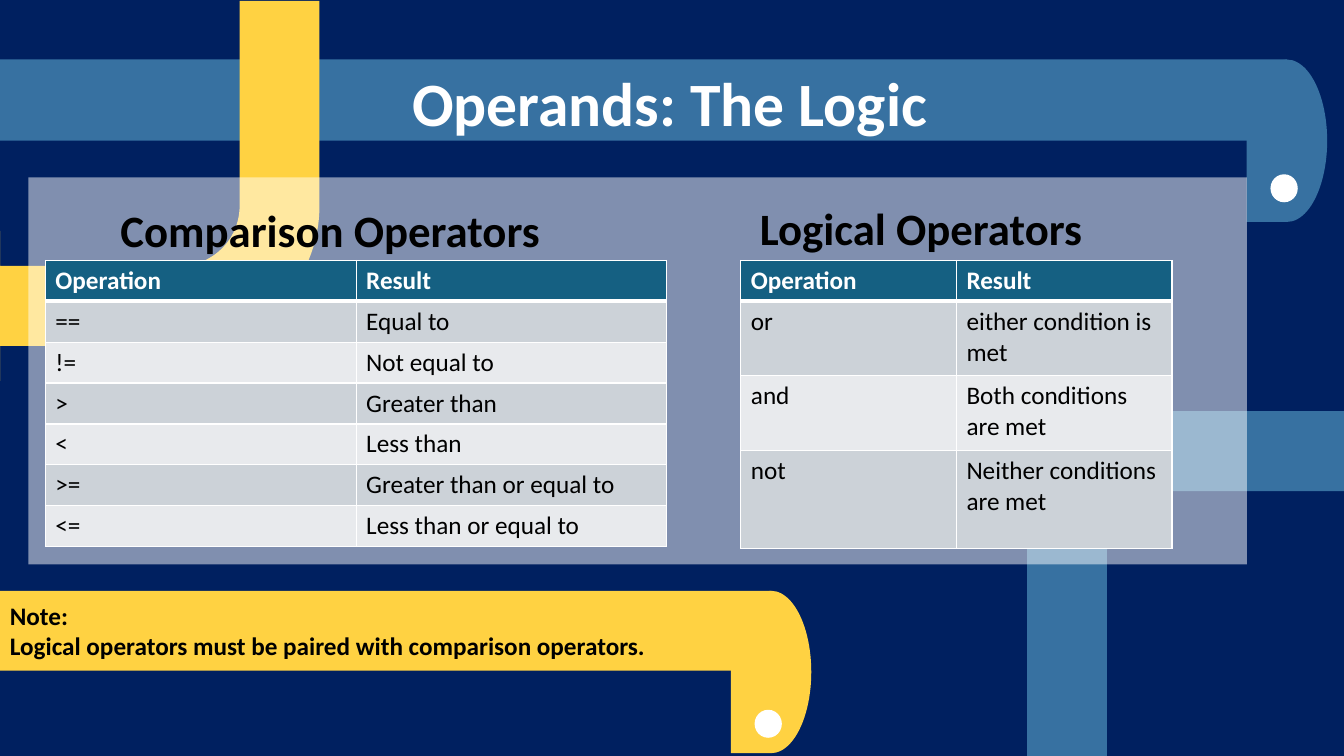
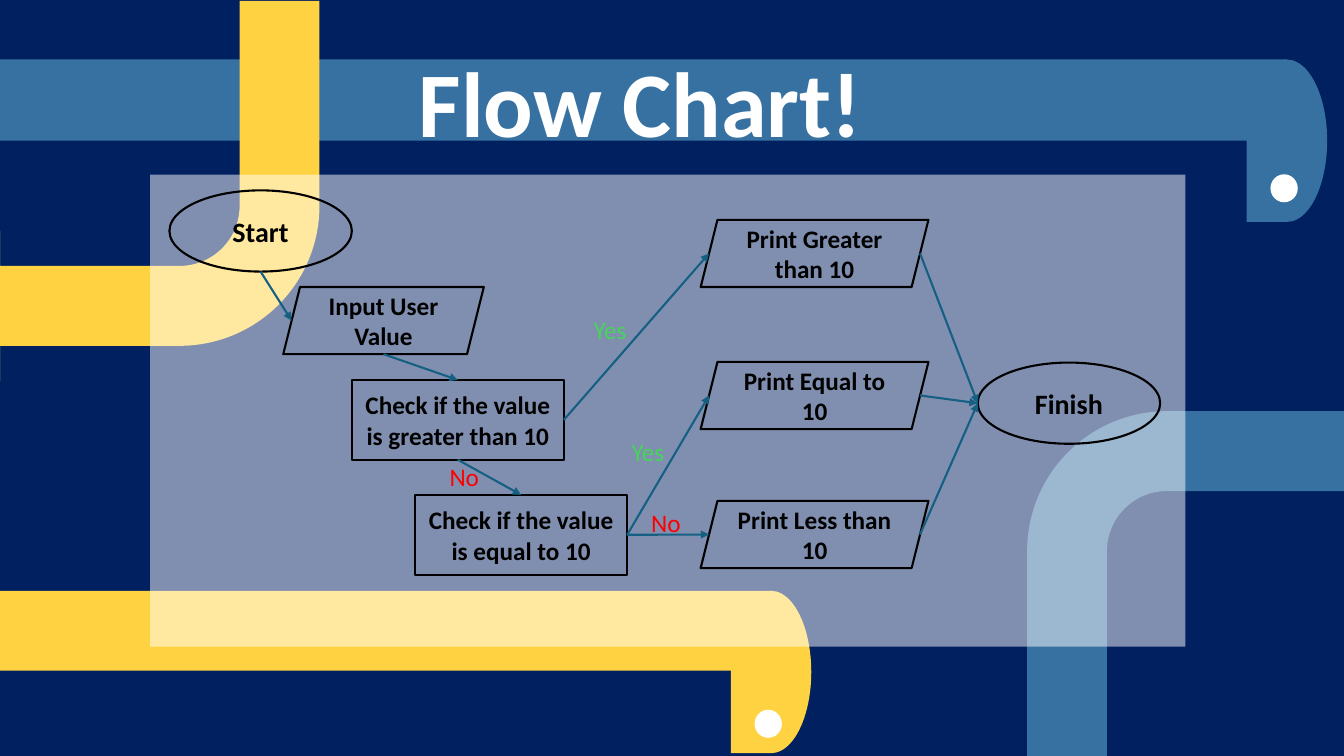
from lxml.etree import SubElement
from pptx import Presentation
from pptx.dml.color import RGBColor
from pptx.enum.shapes import MSO_CONNECTOR, MSO_SHAPE
from pptx.enum.text import MSO_ANCHOR, MSO_AUTO_SIZE, PP_ALIGN
from pptx.oxml.ns import qn
from pptx.util import Pt

NAVY = RGBColor(0x00, 0x20, 0x60)
BLUE = RGBColor(0x37, 0x71, 0xA1)
YELLOW = RGBColor(0xFF, 0xD2, 0x42)
WHITE = RGBColor(0xFF, 0xFF, 0xFF)
BLACK = RGBColor(0x00, 0x00, 0x00)
TEAL = RGBColor(0x15, 0x60, 0x82)
ROW_DARK = RGBColor(0xCC, 0xD2, 0xD8)
ROW_LIGHT = RGBColor(0xE8, 0xEA, 0xED)
GREEN = RGBColor(0x47, 0xD4, 0x5A)
RED = RGBColor(0xFF, 0x00, 0x00)
FONT = "Calibri"
TOP, BOTTOM, LEFT, RIGHT = 0, 2, 1, 3


def write(tf, text, size=18, color=BLACK, bold=False, align=PP_ALIGN.LEFT):
    tf.word_wrap = True
    tf.text = text
    for p in tf.paragraphs:
        p.alignment = align
        for r in p.runs:
            r.font.name = FONT
            r.font.size = Pt(size)
            r.font.bold = bold
            r.font.color.rgb = color


def side_point(sp, side):
    inset = sp.height // 8 if sp.auto_shape_type == MSO_SHAPE.PARALLELOGRAM else 0
    mid_x, mid_y = sp.left + sp.width // 2, sp.top + sp.height // 2
    return {
        TOP: (mid_x, sp.top),
        LEFT: (sp.left + inset, mid_y),
        BOTTOM: (mid_x, sp.top + sp.height),
        RIGHT: (sp.left + sp.width - inset, mid_y),
    }[side]


class Deck:
    def __init__(self):
        self.prs = Presentation()
        self.prs.slide_width, self.prs.slide_height = Pt(960), Pt(540)
        fill = self.prs.slide_master.background.fill
        fill.solid()
        fill.fore_color.rgb = NAVY
        self.s = None

    def slide(self):
        self.s = self.prs.slides.add_slide(self.prs.slide_layouts[5])
        self.scroll(42.5, 890.5, 58, 82, BLUE)
        self.bend(0, 0.7, YELLOW, 180)
        self.bend(733.7, 268.6, BLUE)
        return self.scroll(422, 522, 57, 85, YELLOW)

    def shape(self, kind, x, y, w, h, fill=None, line=None, rotation=0):
        sp = self.s.shapes.add_shape(kind, Pt(x), Pt(y), Pt(w), Pt(h))
        sp.shadow.inherit = False
        sp.rotation = rotation
        if fill is None:
            sp.fill.background()
        else:
            sp.fill.solid()
            sp.fill.fore_color.rgb = fill
        if line is None:
            sp.line.fill.background()
        else:
            sp.line.color.rgb = line
            sp.line.width = Pt(1.5)
        return sp

    def scroll(self, y, curl_x, h, hole_dy, color):
        band = self.shape(MSO_SHAPE.RECTANGLE, 0, y, curl_x + 29, h, color)
        self.shape(MSO_SHAPE.TEAR, curl_x, y, 57.5, 116, color, rotation=180)
        self.shape(MSO_SHAPE.FLOWCHART_CONNECTOR, curl_x + 17, y + hole_dy, 19.5, 20, WHITE)
        return band

    def bend(self, x, y, color, rotation=0):
        sp = self.shape(MSO_SHAPE.BENT_ARROW, x, y, 228.2, 271.4, color, rotation=rotation)
        for i, value in enumerate((0.25, 0.235, 0, 0.438)):
            sp.adjustments[i] = value

    def panel(self, x, y, w, h):
        sp = self.shape(MSO_SHAPE.RECTANGLE, x, y, w, h, WHITE)
        color = sp.element.spPr.find(".//" + qn("a:srgbClr"))
        SubElement(color, qn("a:alpha"), val="50000")

    def title(self, text, x, y, w, size, align=PP_ALIGN.LEFT):
        sp = self.s.shapes.title
        sp.left, sp.top, sp.width, sp.height = Pt(x), Pt(y), Pt(w), Pt(58)
        self.s.shapes.element.append(sp.element)
        tf = sp.text_frame
        tf.auto_size = MSO_AUTO_SIZE.NONE
        tf.vertical_anchor = MSO_ANCHOR.MIDDLE
        write(tf, text, size=size, color=WHITE, bold=True, align=align)

    def text(self, text, x, y, w, h, **style):
        sp = self.s.shapes.add_textbox(Pt(x), Pt(y), Pt(w), Pt(h))
        write(sp.text_frame, text, **style)

    def node(self, kind, text, x, y, w, h, size=18):
        sp = self.shape(kind, x, y, w, h, line=BLACK)
        write(sp.text_frame, text, size=size, bold=True, align=PP_ALIGN.CENTER)
        return sp

    def arrow(self, start, start_side, end, end_side):
        c = self.s.shapes.add_connector(
            MSO_CONNECTOR.STRAIGHT, *side_point(start, start_side), *side_point(end, end_side))
        if start.auto_shape_type == MSO_SHAPE.RECTANGLE:
            c.begin_connect(start, start_side)
        if end.auto_shape_type == MSO_SHAPE.RECTANGLE:
            c.end_connect(end, end_side)
        c.line.color.rgb = TEAL
        c.line.width = Pt(1.5)
        spPr = c.element.spPr
        SubElement(spPr.find(qn("a:ln")), qn("a:tailEnd"), type="triangle")
        SubElement(spPr, qn("a:effectLst"))

    def borders(self, cell, row):
        tcPr = cell._tc.get_or_add_tcPr()
        widths = {"L": 1, "R": 1, "T": 3 if row == 1 else 1, "B": 3 if row == 0 else 1}
        for edge, width in widths.items():
            ln = SubElement(tcPr, qn("a:ln" + edge), w=str(Pt(width)))
            SubElement(SubElement(ln, qn("a:solidFill")), qn("a:srgbClr"), val=str(WHITE))

    def table(self, x, y, col_width, heights, rows):
        table = self.s.shapes.add_table(
            len(rows), 2, Pt(x), Pt(y), Pt(2 * col_width), Pt(sum(heights))).table
        for col in table.columns:
            col.width = Pt(col_width)
        for i, (height, row) in enumerate(zip(heights, rows)):
            table.rows[i].height = Pt(height)
            header = i == 0
            for j, text in enumerate(row):
                cell = table.cell(i, j)
                self.borders(cell, i)
                cell.fill.solid()
                cell.fill.fore_color.rgb = TEAL if header else ROW_DARK if i % 2 else ROW_LIGHT
                write(cell.text_frame, text, color=WHITE if header else BLACK, bold=header)


def operators(deck):
    note = deck.slide()
    write(note.text_frame, "Note:\nLogical operators must be paired with comparison operators.",
          bold=True)
    deck.panel(20.2, 126.7, 870.5, 276.5)
    deck.title("Operands: The Logic", 287.3, 44, 476.6, 44)
    header = ("Operation", "Result")
    deck.table(529.2, 186, 154, (28, 53.3, 53.3, 70), (
        header,
        ("or", "either condition is met"),
        ("and", "Both conditions are met"),
        ("not", "Neither conditions are met"),
    ))
    deck.table(32.4, 186, 222, (29.2,) * 7, (
        header,
        ("==", "Equal to"),
        ("!=", "Not equal to"),
        (">", "Greater than"),
        ("<", "Less than"),
        (">=", "Greater than or equal to"),
        ("<=", "Less than or equal to"),
    ))
    deck.text("Comparison Operators", 79, 141, 371.5, 46, size=32, bold=True)
    deck.text("Logical Operators", 535.7, 140, 295, 46, size=32, bold=True)


def flow_chart(deck):
    deck.slide()
    deck.title("Flow Chart!", -1.5, 42.5, 918, 66, PP_ALIGN.CENTER)
    deck.panel(107.3, 124.8, 739.5, 337)
    oval, box, slant = MSO_SHAPE.OVAL, MSO_SHAPE.RECTANGLE, MSO_SHAPE.PARALLELOGRAM
    start = deck.node(oval, "Start", 121, 136, 130.3, 58, 20)
    entry = deck.node(slant, "Input User Value", 202.3, 205, 143.3, 48)
    check_greater = deck.node(box, "Check if the value is greater than 10", 251.3, 271.4, 151.5, 57)
    check_equal = deck.node(box, "Check if the value is equal to 10", 296.5, 353.5, 151.5, 57)
    prints = [deck.node(slant, f"Print {result} 10", 500.5, y, 162.7, 48)
              for result, y in (("Greater than", 157), ("Equal to", 258.5), ("Less than", 357.8))]
    finish = deck.node(oval, "Finish", 698.4, 259, 130.3, 58, 20)
    greater, equal, less = prints
    for link in (
        (start, BOTTOM, entry, LEFT),
        (entry, BOTTOM, check_greater, TOP),
        (check_greater, BOTTOM, check_equal, TOP),
        (check_greater, RIGHT, greater, LEFT),
        (check_equal, RIGHT, equal, LEFT),
        (check_equal, RIGHT, less, LEFT),
        *((sp, RIGHT, finish, LEFT) for sp in prints),
    ):
        deck.arrow(*link)
    for answer, color, x, y in (
        ("Yes", GREEN, 417, 221),
        ("Yes", GREEN, 444, 308),
        ("No", RED, 314, 326.2),
        ("No", RED, 458, 358.6),
    ):
        deck.text(answer, x, y, 51, 29, color=color)


def main():
    deck = Deck()
    operators(deck)
    flow_chart(deck)
    deck.prs.save("out.pptx")


if __name__ == "__main__":
    main()
